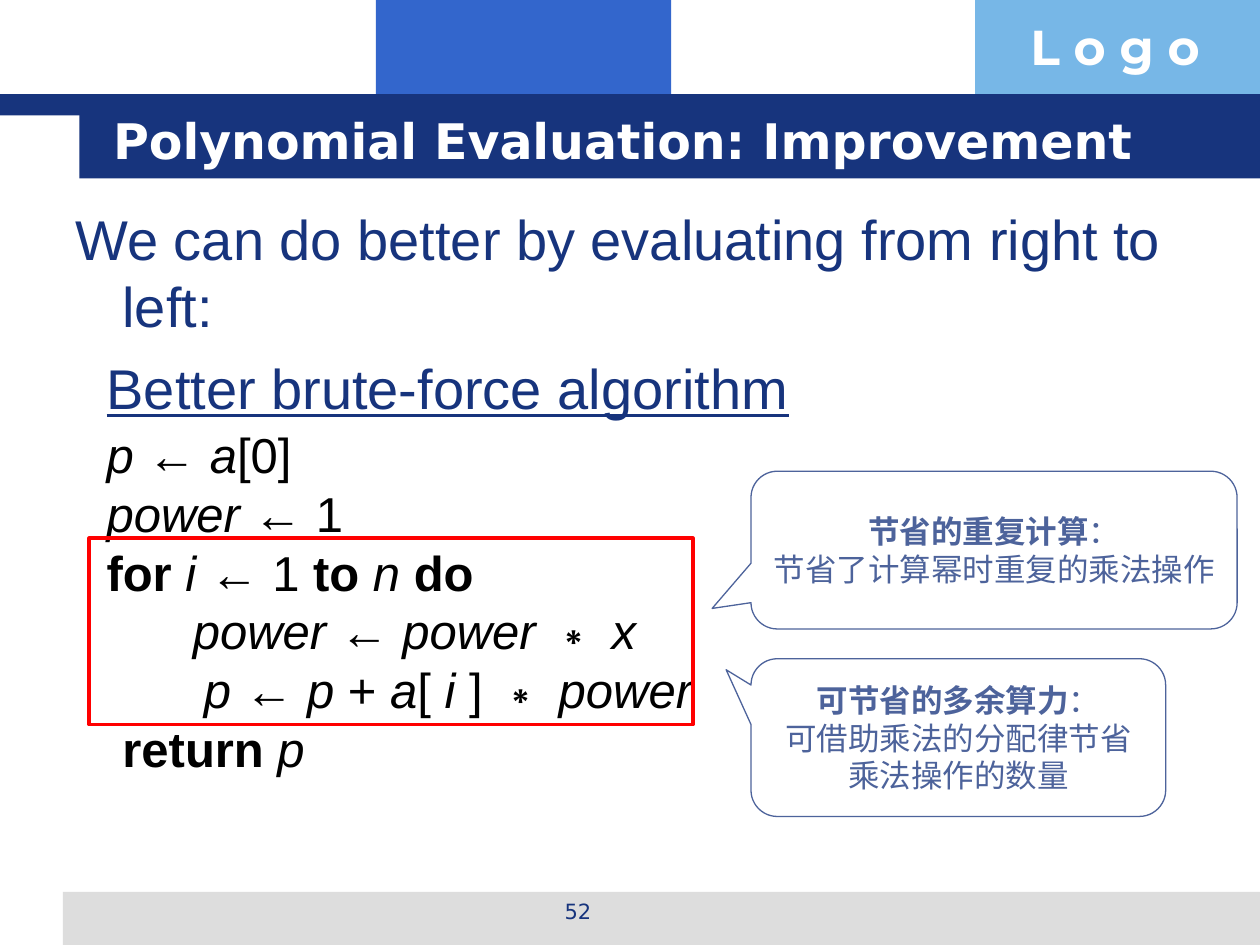
from pptx import Presentation
from pptx import util as u
from pptx.dml.color import RGBColor
from pptx.enum import shapes, text

NAVY, BLUE, SKY, GREY = "17347D", "3366CC", "77B7E7", "DDDDDD"
SLATE, RED, WHITE, BLACK = "4D639B", "FF0000", "FFFFFF", "000000"
MID = text.PP_ALIGN.CENTER
KIND = shapes.MSO_SHAPE


def tint(code):
    return RGBColor.from_string(code)


def place(box):
    return [u.Cm(n) for n in box]


def block(slide, box, fill=None, line=None, width=0.75, kind=KIND.RECTANGLE):
    """Preset shape with an optional fill and outline."""
    shape = slide.shapes.add_shape(kind, *place(box))
    shape.shadow.inherit = False
    if fill:
        shape.fill.solid()
        shape.fill.fore_color.rgb = tint(fill)
    else:
        shape.fill.background()
    if line:
        shape.line.color.rgb = tint(line)
        shape.line.width = u.Pt(width)
    else:
        shape.line.fill.background()
    return shape


def write(shape, lines, size, color, font="Arial", align=None, anchor=None):
    """Fill a shape with lines of (words, style) runs; style holds b, i, u."""
    frame = shape.text_frame
    frame.word_wrap = True
    frame.vertical_anchor = anchor or text.MSO_ANCHOR.TOP
    for num, line in enumerate(lines):
        para = frame.add_paragraph() if num else frame.paragraphs[0]
        para.alignment = align
        for words, style in line:
            run = para.add_run()
            run.text = words
            face = run.font
            face.name, face.size = font, u.Pt(size)
            face.color.rgb = tint(color)
            face.bold = "b" in style
            face.italic = "i" in style
            face.underline = "u" in style
    return frame.paragraphs


def label(slide, box, lines, size, color, **look):
    return write(slide.shapes.add_textbox(*place(box)), lines, size, color, **look)


def indent(para, left, first=0):
    props = para._p.get_or_add_pPr()
    props.set("marL", str(u.Cm(left)))
    props.set("indent", str(u.Cm(first)))


def header(slide, box, title):
    x, y, w, h = box
    top = 2.33
    block(slide, (x + 7.58, y, 5.95, top), BLUE)
    block(slide, (x + 19.66, y, 5.74, top), SKY)
    block(slide, (x, y + 1.9, w, 0.43), NAVY)
    block(slide, (x + 1.6, y + 1.9, w - 1.6, h - 1.9), NAVY)
    label(slide, (x + 20.52, y + 0.2, 4.9, 1.45), [[("L o g o", "b")]],
          28, WHITE, font="Montserrat")
    label(slide, (x + 2.03, y + 2.03, 21.67, 1.57), [[(title, "b")]],
          28, WHITE, font="DejaVu Sans", anchor=text.MSO_ANCHOR.MIDDLE)


def footer(slide, box, number):
    x, y, w, h = box
    block(slide, box, GREY)
    label(slide, (x + 7.42, y, 5.92, 0.89), [[(number, "")]],
          12, NAVY, font="DejaVu Sans", align=MID)


def intro(slide, box):
    lead, name = label(slide, box, [
        [("We can do better by evaluating from right to left:", "")],
        [("Better brute-force algorithm", "u")],
    ], 32, NAVY)
    indent(lead, 0.95, -0.95)
    indent(name, 0.63)
    name.space_before = u.Pt(8)


def code(slide, box):
    x, y, w, h = box
    steps = [
        (0, [("p ", "i"), ("← ", ""), ("a", "i"), ("[0]", "")]),
        (0, [("power ", "i"), ("← 1", "")]),
        (0, [("for ", "b"), ("i ", "i"), ("← 1 ", ""), ("to ", "b"),
             ("n ", "i"), ("do", "b")]),
        (1.74, [("power ", "i"), ("← ", ""), ("power ", "i"), ("∗", ""),
                (" x", "i")]),
        (1.96, [("p ", "i"), ("←", ""), (" p", "i"), (" + ", ""), ("a", "i"),
                ("[ ", ""), ("i ", "i"), ("] ∗ ", ""), ("power", "i")]),
        (0.32, [("return ", "b"), ("p", "i")]),
    ]
    paras = label(slide, box, [runs for _, runs in steps], 28, BLACK)
    for para, (left, _) in zip(paras, steps):
        indent(para, left)
    # Frame around the loop
    block(slide, (x - 0.1, y + 2.42, 12.17, 3.76), line=RED, width=2)


def callout(slide, box, tip, head, note):
    shape = block(slide, box, line=SLATE, kind=KIND.ROUNDED_RECTANGULAR_CALLOUT)
    shape.adjustments[0], shape.adjustments[1] = tip
    write(shape, [[(head, "b"), ("：", "")], [(note, "")]],
          18, SLATE, align=MID, anchor=text.MSO_ANCHOR.MIDDLE)


def main():
    deck = Presentation()
    deck.slide_width, deck.slide_height = u.Cm(25.4), u.Cm(19.05)
    slide = deck.slides.add_slide(deck.slide_layouts[6])
    header(slide, (0, 0, 25.4, 3.6), "Polynomial Evaluation: Improvement")
    footer(slide, (1.27, 17.98, 24.13, 1.07), "52")
    intro(slide, (1.27, 4, 22.86, 13.5))
    code(slide, (1.9, 8.43, 13.13, 7.37))
    # Remarks on the two loop steps
    callout(slide, (15.14, 9.5, 9.8, 3.18), (-0.58, 0.37),
            "节省的重复计算", "节省了计算幂时重复的乘法操作")
    callout(slide, (15.14, 13.28, 8.36, 3.18), (-0.56, -0.43),
            "可节省的多余算力", "可借助乘法的分配律节省乘法操作的数量")
    deck.save("out.pptx")


if __name__ == "__main__":
    main()
